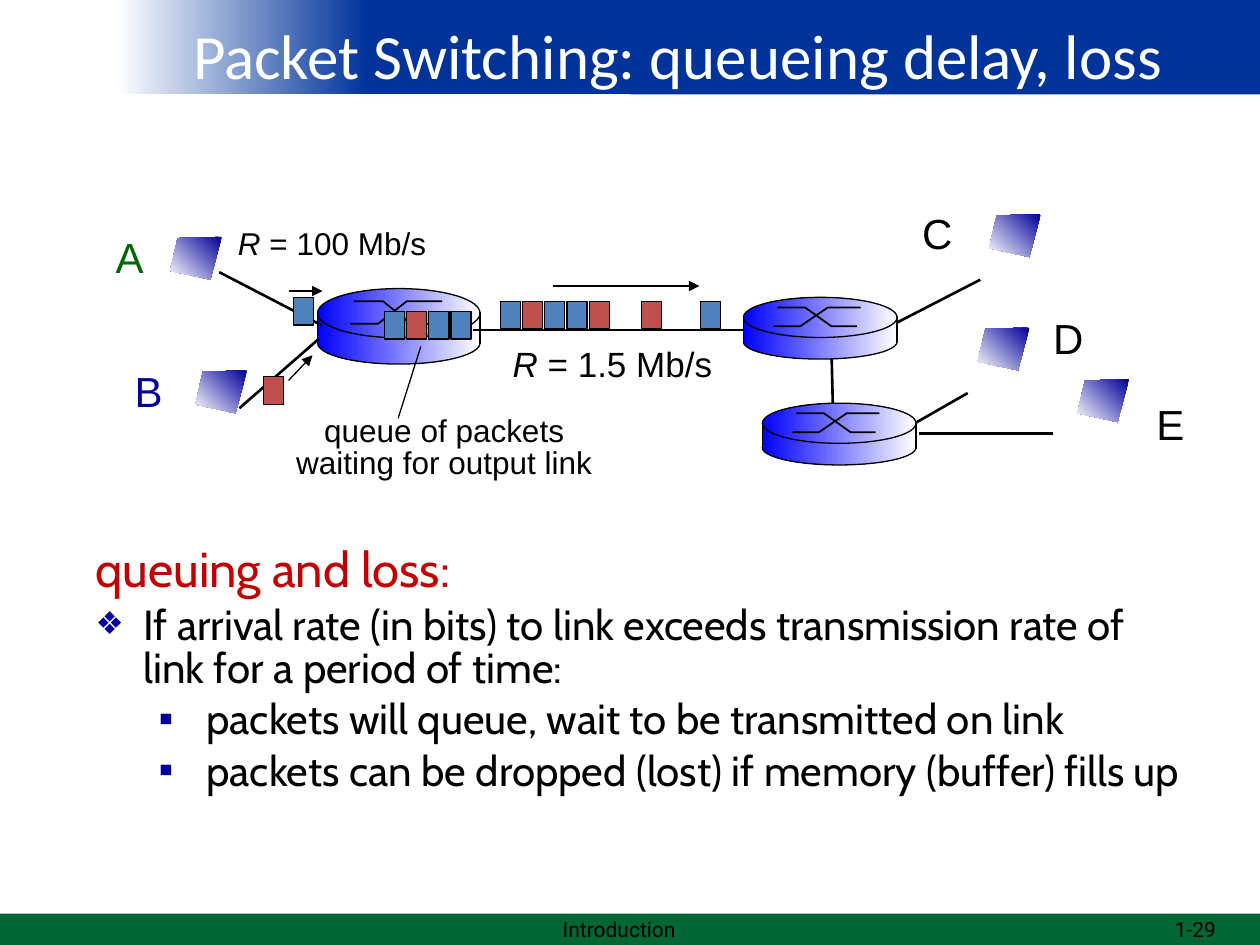
from lxml.etree import SubElement
from pptx import Presentation
from pptx.dml.color import RGBColor
from pptx.enum.shapes import MSO_CONNECTOR, MSO_SHAPE
from pptx.enum.text import MSO_ANCHOR, PP_ALIGN
from pptx.oxml.ns import qn
from pptx.util import Emu, Pt

PX = 9144  # EMU in one px, 100 px to the inch

BLACK = RGBColor(0x00, 0x00, 0x00)
WHITE = RGBColor(0xFF, 0xFF, 0xFF)
HEADER_BLUE = RGBColor(0x00, 0x33, 0x99)
FOOTER_GREEN = RGBColor(0x00, 0x66, 0x33)
ROUTER_BLUE = RGBColor(0x00, 0x00, 0xFF)
NAVY = RGBColor(0x00, 0x00, 0x99)
GREEN = RGBColor(0x00, 0x66, 0x00)
RED = RGBColor(0xC0, 0x00, 0x00)
PACKET_BLUE = RGBColor(0x4F, 0x81, 0xBD)
PACKET_RED = RGBColor(0xC0, 0x50, 0x4D)

PACKET_PITCH = 17.67


def px(*lengths):
    return [Emu(round(length * PX)) for length in lengths]


def fill_gradient(shape, start, angle, first=0.0, last=1.0):
    """Fade from start to white between two stop positions."""
    shape.fill.gradient()
    shape.fill.gradient_angle = angle
    stops = zip(shape.fill.gradient_stops, (start, WHITE), (first, last))
    for stop, color, position in stops:
        stop.color.rgb = color
        stop.position = position


def set_outline(shape, width):
    if width:
        shape.line.color.rgb = BLACK
        shape.line.width = Pt(width)
    else:
        shape.line.fill.background()


def add_block(shapes, kind, place, color=None, outline=0):
    """Add a preset shape; without a colour the fill is left to the caller."""
    shape = shapes.add_shape(kind, *px(*place))
    shape.shadow.inherit = False
    if color is not None:
        shape.fill.solid()
        shape.fill.fore_color.rgb = color
    set_outline(shape, outline)
    return shape


def add_line(shapes, start, end, width, arrow=False):
    line = shapes.add_connector(MSO_CONNECTOR.STRAIGHT, *px(*start, *end))
    set_outline(line, width)
    properties = line._element.spPr
    if arrow:
        SubElement(properties.find(qn("a:ln")), qn("a:tailEnd"), type="triangle")
    SubElement(properties, qn("a:effectLst"))


def add_outline(shapes, points, close):
    builder = shapes.build_freeform(*points[0], scale=PX)
    builder.add_line_segments(points[1:], close=close)
    shape = builder.convert_to_shape()
    shape.shadow.inherit = False
    return shape


def add_router(slide, left, top, width, height):
    """Draw a drum with two crossing switch paths on its lid."""
    shapes = slide.shapes.add_group_shape().shapes
    parts = [(MSO_SHAPE.OVAL, 0.44, 0.56, 0.75),
             (MSO_SHAPE.RECTANGLE, 0.385, 0.35, 0),
             (MSO_SHAPE.OVAL, 0, 0.65, 0.75)]
    for kind, offset, share, outline in parts:
        place = (left, top + offset * height, width, share * height)
        part = add_block(shapes, kind, place, outline=outline)
        fill_gradient(part, ROUTER_BLUE, 0)
    high, low = 0.165, 0.47
    paths = [[(0.2, low), (0.37, low), (0.55, high), (0.765, high)],
             [(0.225, high), (0.4, high), (0.575, low), (0.74, low)]]
    for path in paths:
        points = [(left + x * width, top + y * height) for x, y in path]
        wire = add_outline(shapes, points, close=False)
        wire.fill.background()
        set_outline(wire, 1)
    for x in (left, left + width):
        add_line(shapes, (x, top + 0.31 * height), (x, top + 0.74 * height), 0.75)


def add_screen(slide, left, top):
    corners = [(41, 0), (6, 1), (0, 27), (32, 34)]
    points = [(left + x, top + y) for x, y in corners]
    screen = add_outline(slide.shapes, points, close=True)
    fill_gradient(screen, NAVY, 225)
    set_outline(screen, 0)


def add_packet(slide, left, top, color):
    add_block(slide.shapes, MSO_SHAPE.RECTANGLE, (left, top, 16, 22), color, 0.75)


def add_packet_row(slide, left, top, colors):
    for index, color in enumerate(colors):
        add_packet(slide, left + index * PACKET_PITCH, top, color)


def add_run(para, text, size, font, color=BLACK, italic=False):
    span = para.add_run()
    span.text = text
    span.font.size = Pt(size)
    span.font.name = font
    span.font.color.rgb = color
    span.font.italic = italic


def add_text(slide, place, lines, size, font="Arial", color=BLACK,
             align=PP_ALIGN.LEFT, anchor=MSO_ANCHOR.TOP, spacing=1.0):
    """Add unwrapped lines, each a list of (text, italic) runs."""
    frame = slide.shapes.add_textbox(*px(*place)).text_frame
    frame.word_wrap = False
    frame.vertical_anchor = anchor
    for index, runs in enumerate(lines):
        para = frame.add_paragraph() if index else frame.paragraphs[0]
        para.alignment = align
        para.line_spacing = spacing
        for text, italic in runs:
            add_run(para, text, size, font, color, italic)


def add_bullet(para, mark, size_percent):
    properties = para._p.get_or_add_pPr()
    color = SubElement(properties, qn("a:buClr"))
    SubElement(color, qn("a:srgbClr"), val=str(NAVY))
    SubElement(properties, qn("a:buSzPct"), val=str(size_percent * 1000))
    SubElement(properties, qn("a:buFont"), typeface="Arial")
    SubElement(properties, qn("a:buChar"), char=mark)


def add_explanation(slide):
    items = [
        ("queuing and loss:", 28, RED, 0, None),
        ("If arrival rate (in bits) to link exceeds transmission rate of "
         "link for a period of time:", 24, BLACK, 0, ("❖", 75)),
        ("packets will queue, wait to be transmitted on link",
         24, BLACK, 1, ("▪", 100)),
        ("packets can be dropped (lost) if memory (buffer) fills up",
         24, BLACK, 1, ("▪", 100)),
    ]
    frame = slide.shapes.add_textbox(*px(66, 430, 889, 222)).text_frame
    frame.word_wrap = True
    for index, (text, size, color, level, bullet) in enumerate(items):
        para = frame.add_paragraph() if index else frame.paragraphs[0]
        para.level = level
        margin, indent = px(38 + 50 * level, -38)
        properties = para._p.get_or_add_pPr()
        properties.set("marL", str(margin))
        properties.set("indent", str(indent))
        if bullet:
            add_bullet(para, *bullet)
        para.line_spacing = 0.85
        if index:
            para.space_before = Pt(0.2 * size)
        add_run(para, text, size, "Cabin", color)


def add_frame(slide):
    """Place the header and footer bars, the title and the footer texts."""
    bar = MSO_SHAPE.RECTANGLE
    add_block(slide.shapes, bar, (500, 0, 500, 75), HEADER_BLUE)
    fade = add_block(slide.shapes, bar, (75, 0, 425, 75))
    fill_gradient(fade, HEADER_BLUE, 180, 0.49, 0.96)
    add_block(slide.shapes, bar, (0, 725, 1000, 25), FOOTER_GREEN)

    title = slide.shapes.title
    title.left, title.top, title.width, title.height = px(76, -19, 924, 125)
    title.text_frame.vertical_anchor = MSO_ANCHOR.MIDDLE
    para = title.text_frame.paragraphs[0]
    para.alignment = PP_ALIGN.CENTER
    add_run(para, "Packet Switching: queueing delay, loss", 36, "Calibri", WHITE)
    title.element.getparent().append(title.element)  # in front of the bars

    for place, text, align in [((333, 725, 317, 25), "Introduction", PP_ALIGN.CENTER),
                               ((742, 725, 233, 25), "1-29", PP_ALIGN.RIGHT)]:
        add_text(slide, place, [[(text, False)]], 12, "Roboto",
                 align=align, anchor=MSO_ANCHOR.MIDDLE)


def add_network(slide):
    add_router(slide, 252, 229, 129, 60)
    links = [((174, 216), (255, 258)), ((190, 324), (253, 269)),
             ((375, 262), (596, 262)), ((661, 322), (660, 282)),
             ((712, 256), (778, 222)), ((729, 344), (836, 344)),
             ((768, 312), (726, 336))]
    for start, end in links:
        add_line(slide.shapes, start, end, 1.5)
    add_router(slide, 590, 236, 122, 49)
    add_router(slide, 605, 320, 122, 49)
    for left, top in [(135, 188), (155, 294), (785, 170), (776, 260), (855, 301)]:
        add_screen(slide, left, top)


def add_traffic(slide):
    blue, red = PACKET_BLUE, PACKET_RED
    add_packet_row(slide, 397, 239, [blue, red, blue, blue, red])
    add_packet_row(slide, 305, 247, [blue, red, blue, blue])
    for left, top, color in [(509, 239, red), (556, 239, blue),
                             (233, 236, blue), (209, 299, red)]:
        add_packet(slide, left, top, color)
    for start, end in [((229, 231), (256, 231)), ((229, 302), (248, 282)),
                       ((439, 227), (555, 227))]:
        add_line(slide.shapes, start, end, 0.75, arrow=True)
    add_line(slide.shapes, (316, 332), (334, 275), 0.75)


def add_labels(slide):
    hosts = [("A", 82, 179, GREEN), ("B", 97, 285, NAVY), ("C", 722, 160, BLACK),
             ("D", 826, 243, BLACK), ("E", 908, 311, BLACK)]
    for name, left, top, color in hosts:
        add_text(slide, (left, top, 43, 50), [[(name, False)]], 24, color=color)
    rates = [(" = 100 Mb/s", (179, 173, 171, 40), 18),
             (" = 1.5 Mb/s", (397, 267, 180, 44), 20)]
    for rate, place, size in rates:
        add_text(slide, place, [[("R", True), (rate, False)]], size)
    add_text(slide, (224, 326, 257, 62),
             [[("queue of packets", False)], [("waiting for output link", False)]],
             18, align=PP_ALIGN.CENTER, spacing=0.85)


def main():
    deck = Presentation()
    deck.slide_width, deck.slide_height = px(1000, 750)
    slide = deck.slides.add_slide(deck.slide_layouts[5])
    add_frame(slide)
    add_network(slide)
    add_traffic(slide)
    add_labels(slide)
    add_explanation(slide)
    deck.save("out.pptx")


if __name__ == "__main__":
    main()
